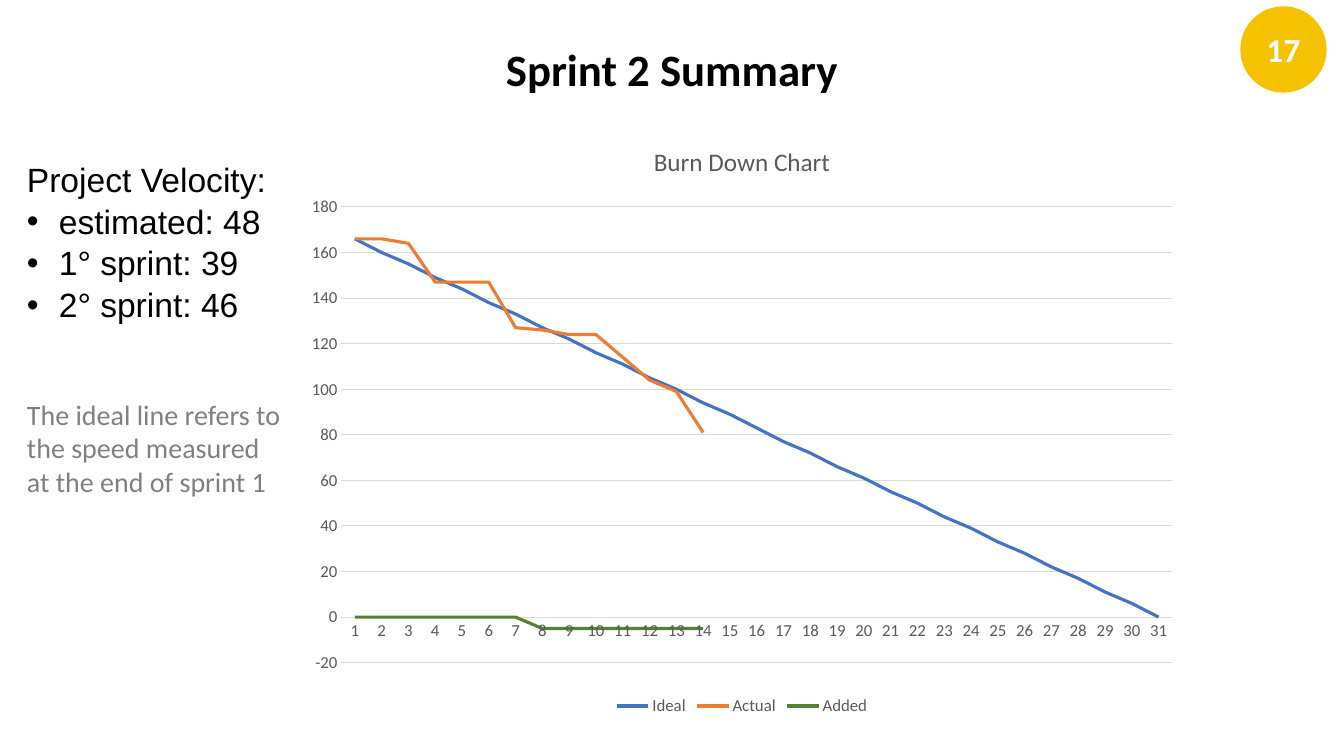
from lxml import etree
from pptx import Presentation
from pptx import util as u
from pptx.chart.data import CategoryChartData
from pptx.dml.color import RGBColor
from pptx.enum import chart as charts, shapes, text
from pptx.oxml import ns

PX = 12192000 / 1344

BLACK = RGBColor(0x00, 0x00, 0x00)
WHITE = RGBColor(0xFF, 0xFF, 0xFF)
GREY = RGBColor(0x80, 0x80, 0x80)
DARK_GREY = RGBColor(0x59, 0x59, 0x59)
LIGHT_GREY = RGBColor(0xD9, 0xD9, 0xD9)
YELLOW = RGBColor(0xF4, 0xC2, 0x00)
BLUE = RGBColor(0x44, 0x72, 0xC4)
ORANGE = RGBColor(0xED, 0x7D, 0x31)
GREEN = RGBColor(0x54, 0x82, 0x35)

TITLE = dict(name="Calibri", size=u.Pt(32), bold=True, color=BLACK)
NUMBER = dict(name="Calibri", size=u.Pt(24), bold=True, color=WHITE)
VELOCITY = dict(name="Arial", size=u.Pt(24), color=BLACK)
REMARK = dict(name="Calibri", size=u.Pt(20), color=GREY)
CHART_TEXT = dict(name="Calibri", size=u.Pt(10), color=BLACK)
CHART_TITLE = dict(name="Calibri", size=u.Pt(18), bold=False, color=DARK_GREY)
CHART_LABEL = dict(name="Calibri", size=u.Pt(12), color=DARK_GREY)

DAYS = 31
START_POINTS = 166
IDEAL = [round(START_POINTS * (DAYS - day) / (DAYS - 1)) for day in range(1, DAYS + 1)]
ACTUAL = [166, 166, 164, 147, 147, 147, 127, 126, 124, 124, 114, 104, 99, 81]
ADDED = [0] * 7 + [-5] * 7
SERIES = [("Ideal", IDEAL, BLUE), ("Actual", ACTUAL, ORANGE), ("Added", ADDED, GREEN)]


def px(*lengths):
    return [u.Emu(round(length * PX)) for length in lengths]


def set_font(font, style):
    for key, value in style.items():
        if key == "color":
            font.color.rgb = value
        else:
            setattr(font, key, value)


def set_line(line, color, points):
    line.color.rgb = color
    line.width = u.Pt(points)


def write(para, words, style, **layout):
    for key, value in layout.items():
        setattr(para, key, value)
    span = para.add_run()
    span.text = words
    set_font(span.font, style)


def add_bullet(para):
    props = para._p.get_or_add_pPr()
    indent = px(32)[0]
    props.set("marL", str(indent))
    props.set("indent", str(-indent))
    etree.SubElement(props, ns.qn("a:buFont")).set("typeface", "Arial")
    etree.SubElement(props, ns.qn("a:buChar")).set("char", "•")


def add_text_box(page, *area):
    frame = page.shapes.add_textbox(*px(*area)).text_frame
    frame.word_wrap = True
    return frame


def add_title(page, words):
    frame = add_text_box(page, 0, 37, 1344, 65)
    write(frame.paragraphs[0], words, TITLE, alignment=text.PP_ALIGN.CENTER)


def add_velocity(page, heading, items, remark):
    frame = add_text_box(page, 17, 152, 276, 383)
    write(frame.paragraphs[0], heading, VELOCITY, line_spacing=1.04)
    for item in items:
        para = frame.add_paragraph()
        add_bullet(para)
        write(para, item, VELOCITY, line_spacing=1.04)
    write(frame.add_paragraph(), remark, REMARK, space_before=u.Pt(52))


def add_page_number(page, number):
    circle = page.shapes.add_shape(shapes.MSO_SHAPE.OVAL, *px(1241, 7, 85, 85))
    circle.shadow.inherit = False
    circle.fill.solid()
    circle.fill.fore_color.rgb = YELLOW
    set_line(circle.line, YELLOW, 1)
    frame = circle.text_frame
    frame.vertical_anchor = text.MSO_ANCHOR.MIDDLE
    write(frame.paragraphs[0], number, NUMBER, alignment=text.PP_ALIGN.CENTER)


def format_axes(chart):
    days, points = chart.category_axis, chart.value_axis
    for axis in (days, points):
        axis.major_tick_mark = axis.minor_tick_mark = charts.XL_TICK_MARK.NONE
        set_font(axis.tick_labels.font, CHART_LABEL)
    set_line(days.format.line, LIGHT_GREY, 0.75)
    scale = dict(minimum_scale=-20, maximum_scale=180, major_unit=20, has_major_gridlines=True)
    for key, value in scale.items():
        setattr(points, key, value)
    points.format.line.fill.background()
    set_line(points.major_gridlines.format.line, LIGHT_GREY, 0.75)


def add_burn_down(page, title):
    data = CategoryChartData()
    data.categories = [str(day) for day in range(1, DAYS + 1)]
    for name, values, _ in SERIES:
        data.add_series(name, values + [None] * (DAYS - len(values)))
    chart = page.shapes.add_chart(
        charts.XL_CHART_TYPE.LINE, *px(294, 122, 896, 598), data).chart
    set_font(chart.font, CHART_TEXT)
    chart.has_title = True
    write(chart.chart_title.text_frame.paragraphs[0], title, CHART_TITLE)
    chart.chart_title.include_in_layout = False
    chart.has_legend = True
    chart.legend.position = charts.XL_LEGEND_POSITION.BOTTOM
    chart.legend.include_in_layout = False
    set_font(chart.legend.font, CHART_LABEL)
    format_axes(chart)
    plot = chart.plots[0]
    plot.vary_by_categories = False
    for series, (_, _, color) in zip(plot.series, SERIES):
        series.smooth = False
        series.marker.style = charts.XL_MARKER_STYLE.NONE
        set_line(series.format.line, color, 2.25)


def main():
    deck = Presentation()
    deck.slide_width, deck.slide_height = px(1344, 756)
    page = deck.slides.add_slide(deck.slide_layouts[6])
    add_title(page, "Sprint 2 Summary")
    add_velocity(
        page, "Project Velocity:",
        ["estimated: 48", "1° sprint: 39", "2° sprint: 46"],
        "The ideal line refers to the speed measured at the end of sprint 1")
    add_page_number(page, "17")
    add_burn_down(page, "Burn Down Chart")
    deck.save("out.pptx")


if __name__ == "__main__":
    main()
